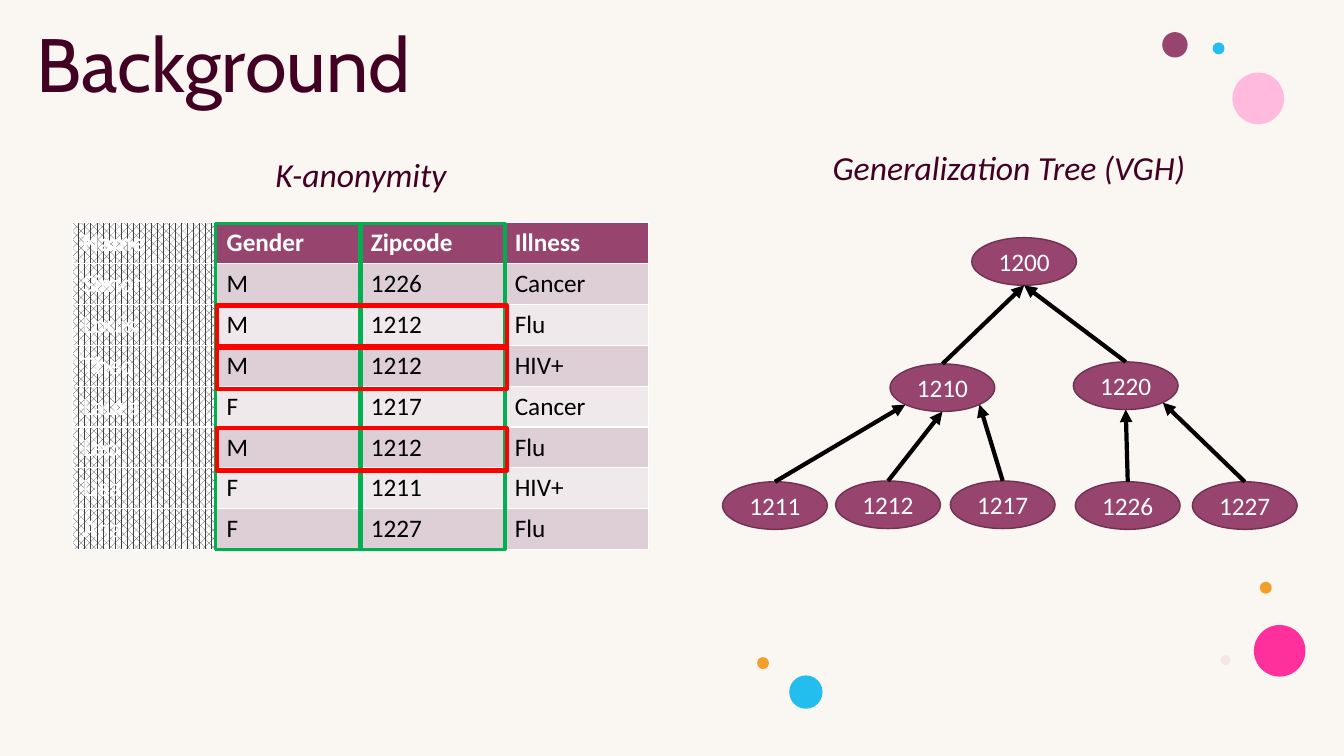
from math import sqrt
from typing import NamedTuple

from lxml.etree import SubElement
from pptx import Presentation
from pptx.dml.color import RGBColor
from pptx.enum.dml import MSO_PATTERN
from pptx.enum.shapes import MSO_CONNECTOR, MSO_SHAPE
from pptx.enum.text import MSO_ANCHOR, PP_ALIGN
from pptx.oxml.ns import qn
from pptx.util import Cm, Pt

PLUM, DARK_PLUM, INK = "97446E", "703251", "420023"
WHITE, BLACK, GREEN, RED = "FFFFFF", "000000", "00B050", "FF0000"
BLUE, ORANGE = "24BEEE", "F39E29"


class Dot(NamedTuple):
    left: float
    top: float
    size: float
    color: str
    opacity: int = 100


class Node(NamedTuple):
    left: float
    top: float


class Edge(NamedTuple):
    child: str
    parent: str
    site: int  # ellipse connection site: 3 lower left, 4 bottom, 5 lower right


def rgb(color: str) -> RGBColor:
    return RGBColor.from_string(color)


def style_font(paragraph, size: float, color: str, name: str = "Calibri") -> None:
    font = paragraph.font
    font.size, font.name, font.color.rgb = Pt(size), name, rgb(color)


def add_heading(text: str, left: float, top: float, width: float, height: float,
                size: float = 24, name: str = "Calibri"):
    box = slide.shapes.add_textbox(Cm(left), Cm(top), Cm(width), Cm(height))
    box.text_frame.word_wrap = True
    paragraph = box.text_frame.paragraphs[0]
    paragraph.text, paragraph.line_spacing = text, 0.9
    style_font(paragraph, size, INK, name)
    return box.text_frame


def add_outline(kind: MSO_SHAPE, left: float, top: float, width: float,
                height: float, fill: str | None, line: str | None, points: float = 1):
    shape = slide.shapes.add_shape(kind, Cm(left), Cm(top), Cm(width), Cm(height))
    shape.shadow.inherit = False
    if fill:
        shape.fill.solid()
        shape.fill.fore_color.rgb = rgb(fill)
    else:
        shape.fill.background()
    if line:
        shape.line.color.rgb, shape.line.width = rgb(line), Pt(points)
    else:
        shape.line.fill.background()
    return shape


def add_dot(dot: Dot) -> None:
    shape = add_outline(MSO_SHAPE.OVAL, dot.left, dot.top, dot.size, dot.size,
                        dot.color, None)
    if dot.opacity < 100:
        color = shape.fill._xPr.find(qn("a:solidFill"))[0]
        SubElement(color, qn("a:alpha"), val=str(dot.opacity * 1000))


def add_node(label: str, node: Node):
    shape = add_outline(MSO_SHAPE.OVAL, node.left, node.top, NODE_W, NODE_H,
                        PLUM, DARK_PLUM)
    frame = shape.text_frame
    frame.margin_left = frame.margin_right = 0
    frame.vertical_anchor = MSO_ANCHOR.MIDDLE
    paragraph = frame.paragraphs[0]
    paragraph.text, paragraph.alignment = label, PP_ALIGN.CENTER
    style_font(paragraph, 18, WHITE)
    return shape


def add_edge(edge: Edge) -> None:
    child, parent = ovals[edge.child], ovals[edge.parent]
    side = edge.site - 4
    drop = 1 / sqrt(2) if side else 1
    end_x = parent.left + parent.width / 2 * (1 + side / sqrt(2))
    end_y = parent.top + parent.height / 2 * (1 + drop)
    arrow = slide.shapes.add_connector(MSO_CONNECTOR.STRAIGHT, 0, 0,
                                       round(end_x), round(end_y))
    arrow.begin_connect(child, 0)
    ends = arrow._element.find(".//" + qn("p:cNvCxnSpPr"))
    SubElement(ends, qn("a:endCxn"), id=str(parent.shape_id), idx=str(edge.site))
    arrow.line.color.rgb, arrow.line.width = rgb(BLACK), Pt(3)
    SubElement(arrow.line._get_or_add_ln(), qn("a:tailEnd"), type="triangle")
    SubElement(arrow._element.spPr, qn("a:effectLst"))


presentation = Presentation()
presentation.slide_width, presentation.slide_height = Cm(33.87), Cm(19.05)
slide = presentation.slides.add_slide(presentation.slide_layouts[6])
slide.background.fill.solid()
slide.background.fill.fore_color.rgb = rgb("FAF6F2")

# Headings
title = add_heading("Background", 0.66, 0.48, 14.02, 2.39, 54, "Cabin")
title.vertical_anchor = MSO_ANCHOR.BOTTOM
for heading, left, top in [("K-anonymity", 1.83, 3.86),
                           ("Generalization Tree (VGH)", 18.16, 3.68)]:
    subtitle = add_heading(heading, left, top, 14.53, 1.78).paragraphs[0]
    subtitle.alignment, subtitle.font.italic = PP_ALIGN.CENTER, True

# Decorative dots
for dot in [
    Dot(29.29, 0.81, 0.64, PLUM),
    Dot(31.6, 15.75, 1.3, "FF2F9C"),
    Dot(31.75, 14.66, 0.3, ORANGE),
    Dot(30.76, 16.51, 0.25, "E3BEBE", 28),
    Dot(31.06, 1.83, 1.3, "FFBADE"),
    Dot(30.56, 1.07, 0.3, BLUE),
    Dot(19.89, 17.02, 0.84, BLUE),
    Dot(19.08, 16.56, 0.3, ORANGE),
]:
    add_dot(dot)

# Patient table with the names column struck out by a pattern
LEFT, TOP, COL_W, ROW_H = 1.83, 5.61, 3.63, 1.03
PATIENTS = [
    ("Name", "Gender", "Zipcode", "Illness"),
    ("Simon", "M", "1226", "Cancer"),
    ("Louis", "M", "1212", "Flu"),
    ("Theo", "M", "1212", "HIV+"),
    ("Laura", "F", "1217", "Cancer"),
    ("Leo", "M", "1212", "Flu"),
    ("Lisa", "F", "1211", "HIV+"),
    ("Ana", "F", "1227", "Flu"),
]
rows, cols = len(PATIENTS), len(PATIENTS[0])
patients = slide.shapes.add_table(rows, cols, Cm(LEFT), Cm(TOP), Cm(cols * COL_W),
                                  Cm(rows * ROW_H)).table
for r, record in enumerate(PATIENTS):
    patients.rows[r].height = Cm(ROW_H)
    for c, value in enumerate(record):
        cell = patients.cell(r, c)
        cell.text = value
        paragraph = cell.text_frame.paragraphs[0]
        style_font(paragraph, 18, WHITE if r == 0 or c == 0 else BLACK)
        paragraph.font.bold = r == 0
        if c == 0:
            cell.fill.patterned()
            cell.fill.pattern = MSO_PATTERN.PERCENT_60
            cell.fill.fore_color.rgb = rgb("404040")
            cell.fill.back_color.rgb = rgb(WHITE)
        else:
            cell.fill.solid()
            band = "DDCFD5" if r % 2 else "EFE9EB"
            cell.fill.fore_color.rgb = rgb(band if r else PLUM)

# Quasi-identifier columns and the rows that share their values
for column in (1, 2):
    add_outline(MSO_SHAPE.RECTANGLE, LEFT + column * COL_W - 0.02, TOP + 0.03,
                COL_W + 0.03, rows * ROW_H - 0.04, None, GREEN, 2.25)
for row in (2, 3, 5):
    add_outline(MSO_SHAPE.RECTANGLE, LEFT + COL_W, TOP + row * ROW_H + 0.03,
                2 * COL_W + 0.06, ROW_H + 0.04, None, RED, 3)

# Generalization tree
NODE_W, NODE_H = 2.64, 1.2
NODES = {
    "1200": Node(24.49, 5.99),
    "1210": Node(22.43, 9.17),
    "1220": Node(27.05, 9.12),
    "1211": Node(18.21, 12.14),
    "1212": Node(21.06, 12.12),
    "1217": Node(23.95, 12.12),
    "1226": Node(27.1, 12.14),
    "1227": Node(30.05, 12.14),
}
ovals = {label: add_node(label, node) for label, node in NODES.items()}
for edge in [
    Edge("1210", "1200", 4),
    Edge("1220", "1200", 4),
    Edge("1211", "1210", 3),
    Edge("1212", "1210", 4),
    Edge("1217", "1210", 5),
    Edge("1226", "1220", 4),
    Edge("1227", "1220", 5),
]:
    add_edge(edge)

presentation.save("out.pptx")
